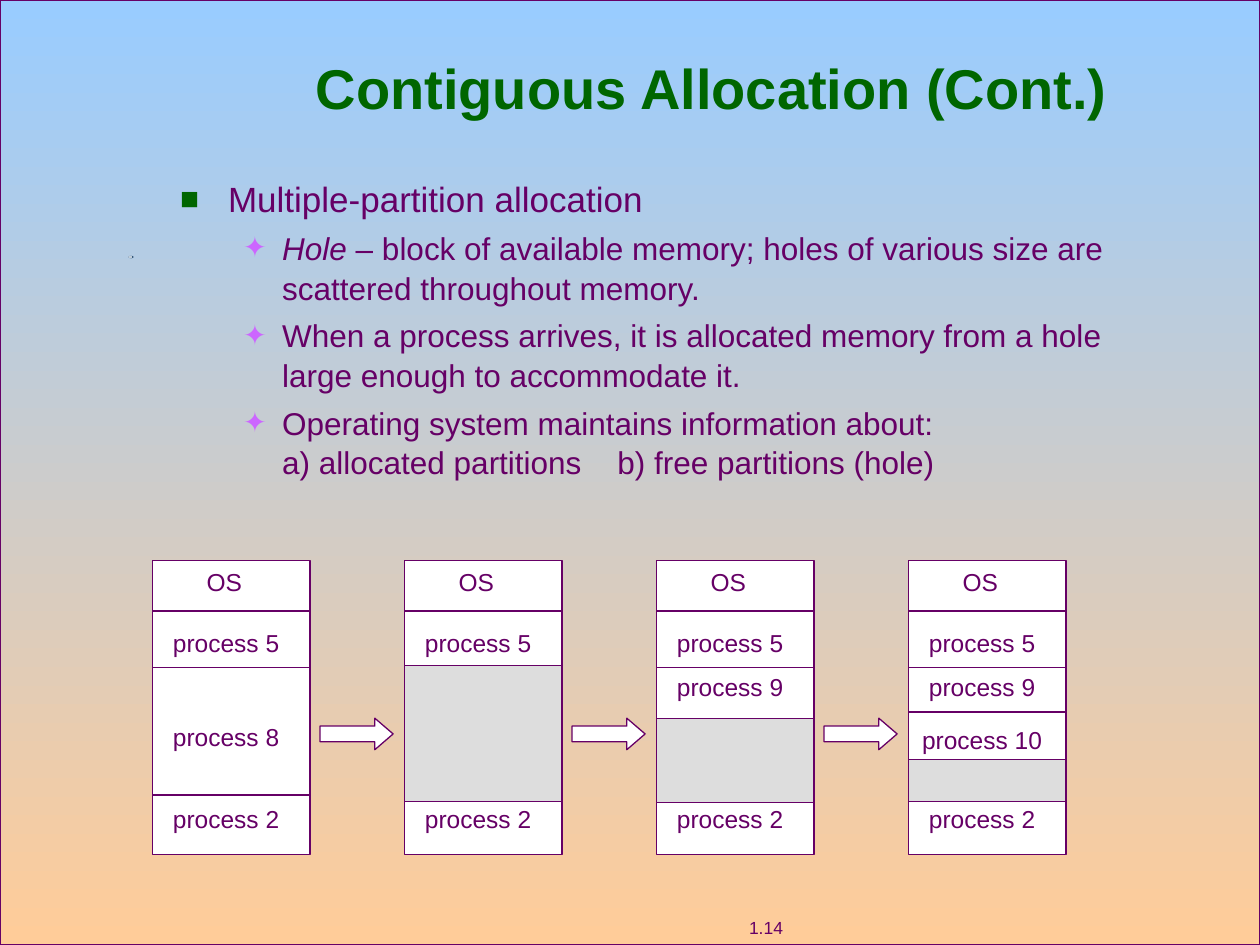
import pptx
import pptx.util
import pptx.dml.color
import pptx.enum.shapes
import pptx.enum.text
import pptx.oxml
import lxml.etree
from pptx.oxml.ns import qn

Inches = pptx.util.Inches
Pt = pptx.util.Pt
RGBColor = pptx.dml.color.RGBColor
SHAPE = pptx.enum.shapes.MSO_SHAPE
CENTER = pptx.enum.text.PP_ALIGN.CENTER
MIDDLE = pptx.enum.text.MSO_ANCHOR.MIDDLE

PURPLE = RGBColor(0x66, 0x00, 0x66)
GREEN = RGBColor(0x00, 0x66, 0x00)
VIOLET = RGBColor(0xCC, 0x66, 0xFF)
SKY = RGBColor(0x99, 0xCC, 0xFF)
PEACH = RGBColor(0xFF, 0xCC, 0x99)
WHITE = RGBColor(0xFF, 0xFF, 0xFF)
HOLE_GRAY = RGBColor(0xDD, 0xDD, 0xDD)
SPECK_DARK = RGBColor(0x28, 0x4C, 0x70)
SPECK_LIGHT = RGBColor(0xBF, 0xCC, 0xD8)

MEMORY_STATES = [
    {"dividers": [0.4, 0.85, 1.86], "hole": None,
     "labels": [("process 5", 0.48), ("process 8", 1.23), ("process 2", 1.88)]},
    {"dividers": [0.4], "hole": (0.83, 1.08),
     "labels": [("process 5", 0.48), ("process 2", 1.88)]},
    {"dividers": [0.4, 0.85], "hole": (1.25, 0.67),
     "labels": [("process 5", 0.48), ("process 9", 0.83), ("process 2", 1.88)]},
    {"dividers": [0.4, 0.85, 1.2], "hole": (1.58, 0.33),
     "labels": [("process 5", 0.48), ("process 9", 0.83),
                ("process 10", 1.25), ("process 2", 1.88)]},
]

BODY_POINTS = [
    (0, [("Multiple-partition allocation", False)]),
    (1, [("Hole", True),
         (" – block of available memory; holes of various size are "
          "scattered throughout memory.", False)]),
    (1, [("When a process arrives, it is allocated memory from a hole "
          "large enough to accommodate it.", False)]),
    (1, [("Operating system maintains information about:\n"
          "a) allocated partitions\tb) free partitions (hole)", False)]),
]


def write(paragraph, text, size=14, color=PURPLE, bold=False, italic=False):
    """Add formatted text to a paragraph, breaking lines at newlines."""
    for index, line in enumerate(text.split("\n")):
        if index:
            paragraph.add_line_break()
        run = paragraph.add_run()
        run.text = line
        run.font.name = "Arial"
        run.font.size = Pt(size)
        run.font.color.rgb = color
        run.font.bold = bold
        run.font.italic = italic


def add_label(slide, text, left, top, width, height, size=14, wrap=True):
    """Place a centred label in the given box."""
    frame = slide.shapes.add_textbox(
        Inches(left), Inches(top), Inches(width), Inches(height)).text_frame
    frame.word_wrap = wrap
    frame.vertical_anchor = MIDDLE
    frame.paragraphs[0].alignment = CENTER
    write(frame.paragraphs[0], text, size=size)


def add_block(slide, kind, left, top, width, height, fill=None, outlined=True):
    """Place a flat preset shape, optionally filled and outlined."""
    block = slide.shapes.add_shape(
        kind, Inches(left), Inches(top), Inches(width), Inches(height))
    block.shadow.inherit = False
    if fill is not None:
        block.fill.solid()
        block.fill.fore_color.rgb = fill
    if outlined:
        block.line.color.rgb = PURPLE
        block.line.width = Pt(0.75)
    else:
        block.line.fill.background()
    return block


def add_divider(slide, left, top, width):
    """Draw a horizontal partition boundary."""
    divider = slide.shapes.add_connector(
        pptx.enum.shapes.MSO_CONNECTOR.STRAIGHT,
        Inches(left), Inches(top), Inches(left + width), Inches(top))
    divider.line.color.rgb = PURPLE
    divider.line.width = Pt(0.75)
    lxml.etree.SubElement(divider._element.spPr, qn("a:effectLst"))


def add_backdrop(slide, width, height):
    """Fill the slide with the gradient, its specks and the page number."""
    backdrop = add_block(slide, SHAPE.RECTANGLE, 0, 0, width, height)
    backdrop.fill.gradient()
    backdrop.fill.gradient_angle = 270
    for stop, color, position in zip(
            backdrop.fill.gradient_stops, (SKY, PEACH), (0, 1)):
        stop.color.rgb = color
        stop.position = position
    add_block(slide, SHAPE.OVAL, 1.02, 2.03, 0.04, 0.02, SPECK_DARK, False)
    add_block(slide, SHAPE.OVAL, 1.02, 2.03, 0.03, 0.02, SPECK_LIGHT, False)
    add_label(slide, "1.14", 5.61, 7.23, 0.94, 0.27, size=10, wrap=False)


def place(placeholder, left, top, width, height):
    """Move a placeholder to the given box and return its text frame."""
    placeholder.left, placeholder.top = Inches(left), Inches(top)
    placeholder.width, placeholder.height = Inches(width), Inches(height)
    frame = placeholder.text_frame
    frame.word_wrap = True
    frame.auto_size = pptx.enum.text.MSO_AUTO_SIZE.NONE
    return frame


def fill_title(slide, left, top, width, height):
    """Set the slide title."""
    frame = place(slide.shapes.title, left, top, width, height)
    frame.vertical_anchor = MIDDLE
    frame.paragraphs[0].alignment = CENTER
    write(frame.paragraphs[0], "Contiguous Allocation (Cont.)",
          size=32, color=GREEN, bold=True)


def set_bullet(paragraph, symbol, color, margin, hanging, tab):
    """Give a paragraph a coloured bullet, a hanging indent and a tab stop."""
    properties = paragraph._p.get_or_add_pPr()
    properties.set("marL", str(Inches(margin)))
    properties.set("indent", str(-Inches(hanging)))
    namespace = pptx.oxml.ns.nsdecls("a")
    for markup in (
            f'<a:buClr {namespace}><a:srgbClr val="{color}"/></a:buClr>',
            f'<a:buSzPct {namespace} val="90000"/>',
            f'<a:buFont {namespace} typeface="Arial"/>',
            f'<a:buChar {namespace} char="{symbol}"/>',
            f'<a:tabLst {namespace}><a:tab pos="{Inches(tab)}" algn="l"/></a:tabLst>'):
        properties.append(pptx.oxml.parse_xml(markup))


def fill_body(slide, left, top, width, height):
    """Write the bulleted explanation of multiple-partition allocation."""
    frame = place(slide.placeholders[1], left, top, width, height)
    styles = [("■", GREEN, 0.38, 0.38, 20), ("✦", VIOLET, 0.81, 0.31, 18)]
    for index, (level, pieces) in enumerate(BODY_POINTS):
        paragraph = frame.add_paragraph() if index else frame.paragraphs[0]
        symbol, color, margin, hanging, size = styles[level]
        set_bullet(paragraph, symbol, color, margin, hanging, tab=3.47)
        paragraph.level = level
        paragraph.line_spacing = 1.05
        paragraph.space_before = Pt(4.5 if index else 0)
        for text, italic in pieces:
            write(paragraph, text, size=size, italic=italic)


def add_memory(slide, state, left, top, width, height):
    """Draw one memory map with its partitions, hole and labels."""
    add_block(slide, SHAPE.RECTANGLE, left, top, width, height, WHITE)
    for offset in state["dividers"]:
        add_divider(slide, left, top + offset, width)
    if state["hole"]:
        offset, depth = state["hole"]
        add_block(slide, SHAPE.RECTANGLE, left, top + offset, width, depth, HOLE_GRAY)
    add_label(slide, "OS", left + 0.33, top, 0.48, 0.34, wrap=False)
    for text, offset in state["labels"]:
        add_label(slide, text, left, top + offset, 1.17, 0.34)


def add_memory_sequence(slide, left, top, width, height, step=2):
    """Draw the memory maps in a row with an arrow between neighbours."""
    for index, state in enumerate(MEMORY_STATES):
        map_left = left + index * step
        add_memory(slide, state, map_left, top, width, height)
        if index:
            arrow = add_block(slide, SHAPE.RIGHT_ARROW,
                              map_left - 0.67, top + 1.25, 0.58, 0.25, WHITE)
            arrow.adjustments[1] = 0.58


def main():
    """Build and save the slide."""
    deck = pptx.Presentation()
    deck.slide_width, deck.slide_height = Inches(10), Inches(7.5)
    slide = deck.slides.add_slide(deck.slide_layouts[1])
    add_backdrop(slide, 10, 7.5)
    tree = slide.shapes._spTree
    for placeholder in list(slide.placeholders):
        tree.append(placeholder._element)
    fill_title(slide, 1.4, 0.23, 8.5, 0.92)
    fill_body(slide, 1.33, 1.34, 7.69, 2.61)
    add_memory_sequence(slide, 1.21, 4.45, 1.25, 2.33)
    deck.save("out.pptx")


if __name__ == "__main__":
    main()
